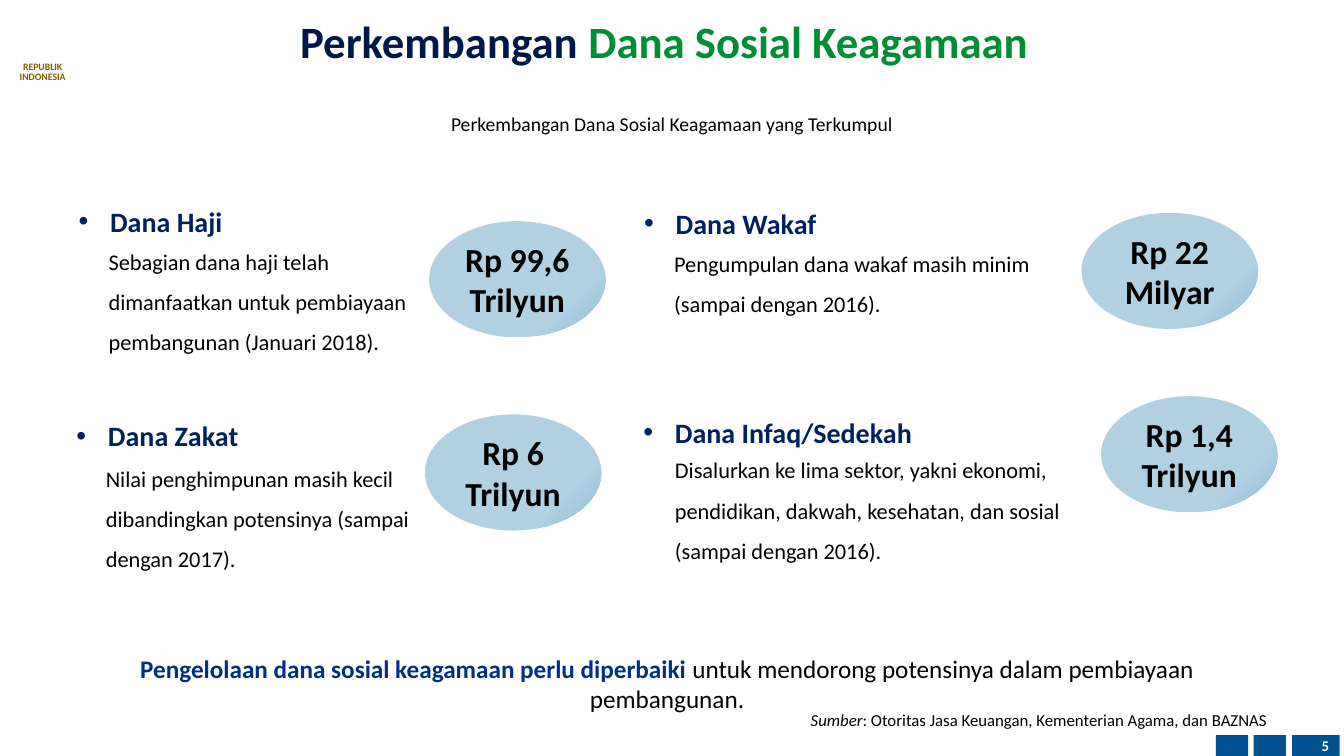
from lxml import etree
from pptx import Presentation
from pptx import util as u
from pptx.dml.color import RGBColor
from pptx.enum import shapes, text
from pptx.oxml.ns import qn

FONT = "Calibri"
BLACK, WHITE, NAVY, BLUE = "000000", "FFFFFF", "002060", "00518F"
LEFT, CENTER, RIGHT = text.PP_ALIGN.LEFT, text.PP_ALIGN.CENTER, text.PP_ALIGN.RIGHT
TOP, MIDDLE = text.MSO_ANCHOR.TOP, text.MSO_ANCHOR.MIDDLE

# heading, its position, body paragraphs, body box, amount, oval position
FUNDS = [
    ("Dana Haji", (49, 142.5),
     ["Sebagian dana haji telah dimanfaatkan untuk pembiayaan pembangunan (Januari 2018)."],
     (70.5, 164, 245.5, 94.5), "Rp 99,6 Trilyun", (306.5, 158)),
    ("Dana Wakaf", (453, 144),
     ["Pengumpulan dana wakaf masih minim (sampai dengan 2016)."],
     (474.5, 165.5, 294, 65.5), "Rp 22 Milyar", (772.5, 152)),
    ("Dana Zakat", (47.5, 295.5),
     ["Nilai penghimpunan masih kecil dibandingkan potensinya (sampai dengan 2017)."],
     (68.5, 319, 238.5, 94.5), "Rp 6 Trilyun", (303.5, 296)),
    ("Dana Infaq/Sedekah", (452.5, 293),
     ["Disalurkan ke lima sektor, yakni ekonomi, pendidikan, dakwah, kesehatan, dan sosial",
      "(sampai dengan 2016)."],
     (475, 313, 342, 94.5), "Rp 1,4 Trilyun", (786.5, 283)),
]


def color(code):
    return RGBColor.from_string(code)


def points(*lengths):
    return [u.Pt(length) for length in lengths]


def write(frame, paragraphs, size=16, ink=BLACK, bold=False, align=LEFT,
          anchor=TOP, spacing=None, bullet=False):
    """Fill a frame; each paragraph is a string or a list of (text, format changes)."""
    frame.word_wrap = True
    frame.vertical_anchor = anchor
    for index, content in enumerate(paragraphs):
        para = frame.add_paragraph() if index else frame.paragraphs[0]
        para.alignment = align
        if spacing is not None:
            para.line_spacing = spacing
        if bullet:
            add_bullet(para)
        spans = [(content, {})] if isinstance(content, str) else content
        for words, changes in spans:
            span = para.add_run()
            span.text = words
            span.font.name = FONT
            span.font.size = u.Pt(size)
            span.font.bold = changes.get("bold", bold)
            span.font.italic = changes.get("italic", False)
            span.font.color.rgb = color(changes.get("ink", ink))


def add_bullet(para):
    properties = para._p.get_or_add_pPr()
    properties.set("marL", str(u.Pt(22.5)))
    properties.set("indent", str(u.Pt(-22.5)))
    etree.SubElement(properties, qn("a:buFont")).set("typeface", "Arial")
    etree.SubElement(properties, qn("a:buChar")).set("char", "•")


def add_text(page, place, *paragraphs, **style):
    box = page.shapes.add_textbox(*points(*place))
    write(box.text_frame, paragraphs, **style)


def add_plain_shape(page, kind, place):
    shape = page.shapes.add_shape(kind, *points(*place))
    shape.shadow.inherit = False
    shape.line.fill.background()
    return shape


def add_block(page, left, width):
    block = add_plain_shape(page, shapes.MSO_SHAPE.RECTANGLE, (left, 525, width, 15.5))
    block.fill.solid()
    block.fill.fore_color.rgb = color(BLUE)


def add_amount(page, amount, left, top):
    oval = add_plain_shape(page, shapes.MSO_SHAPE.OVAL, (left, top, 126, 83))
    oval.fill.gradient()
    oval.fill.gradient_angle = 315
    for stop, position, shade in zip(oval.fill.gradient_stops, (0.75, 1), ("B1D1E3", "8ABAD4")):
        stop.position = position
        stop.color.rgb = color(shade)
    frame = oval.text_frame
    frame.margin_left = frame.margin_right = 0
    write(frame, [amount], size=24, bold=True, align=CENTER, anchor=MIDDLE)


def add_fund(page, heading, corner, body, body_place, amount, oval_corner):
    add_amount(page, amount, *oval_corner)
    add_text(page, body_place, *body, spacing=1.5)
    add_text(page, (*corner, 220, 31.5), heading, size=20, ink=NAVY, bold=True, bullet=True)


def main():
    deck = Presentation()
    deck.slide_width, deck.slide_height = points(960, 540)
    page = deck.slides.add_slide(deck.slide_layouts[6])

    for left, width in ((868.5, 23), (895.5, 23), (923, 34)):
        add_block(page, left, width)
    add_text(page, (3.5, 41.5, 54, 21.5), "REPUBLIK INDONESIA", size=7, ink="806000",
             bold=True, align=CENTER, spacing=u.Pt(7))
    add_text(page, (85, 2, 779, 58.5),
             [("Perkembangan ", {}), ("Dana Sosial Keagamaan", {"ink": "008D36"})],
             size=32, ink="001848", bold=True, align=CENTER, anchor=MIDDLE, spacing=0.9)
    add_text(page, (0, 73.5, 960, 29), "Perkembangan Dana Sosial Keagamaan yang Terkumpul",
             size=14, align=CENTER, anchor=MIDDLE)
    for fund in FUNDS:
        add_fund(page, *fund)
    add_text(page, (47, 463, 859, 29),
             [("Pengelolaan dana sosial keagamaan perlu diperbaiki ",
               {"ink": "002E89", "bold": True}),
              ("untuk mendorong potensinya dalam pembiayaan pembangunan.", {})],
             size=18, align=CENTER)
    add_text(page, (520.5, 503.5, 394.5, 21.5),
             [("Sumber", {"italic": True}),
              (": Otoritas Jasa Keuangan, Kementerian Agama, dan BAZNAS ", {})],
             size=12, align=RIGHT)
    add_text(page, (918, 525, 38.5, 15.5), "5", size=10.5, ink=WHITE, bold=True,
             align=RIGHT, anchor=MIDDLE)
    deck.save("out.pptx")


if __name__ == "__main__":
    main()
